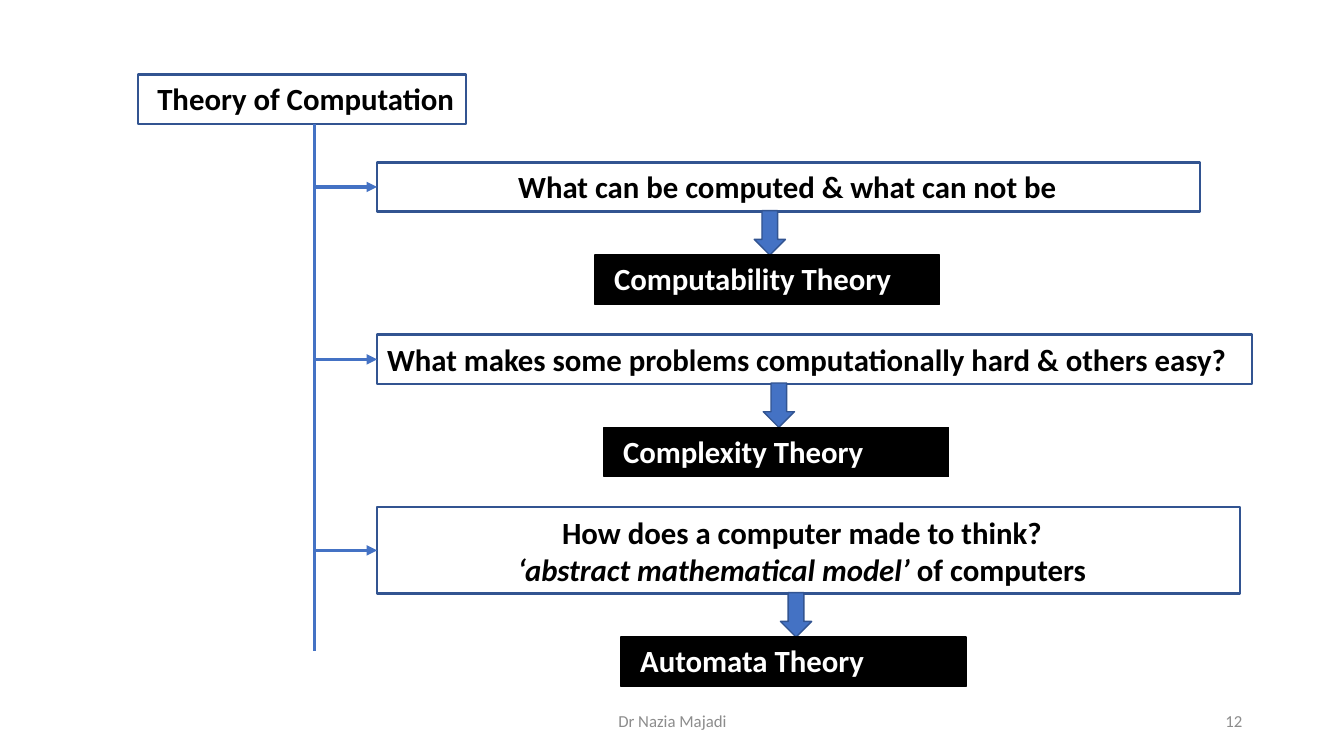
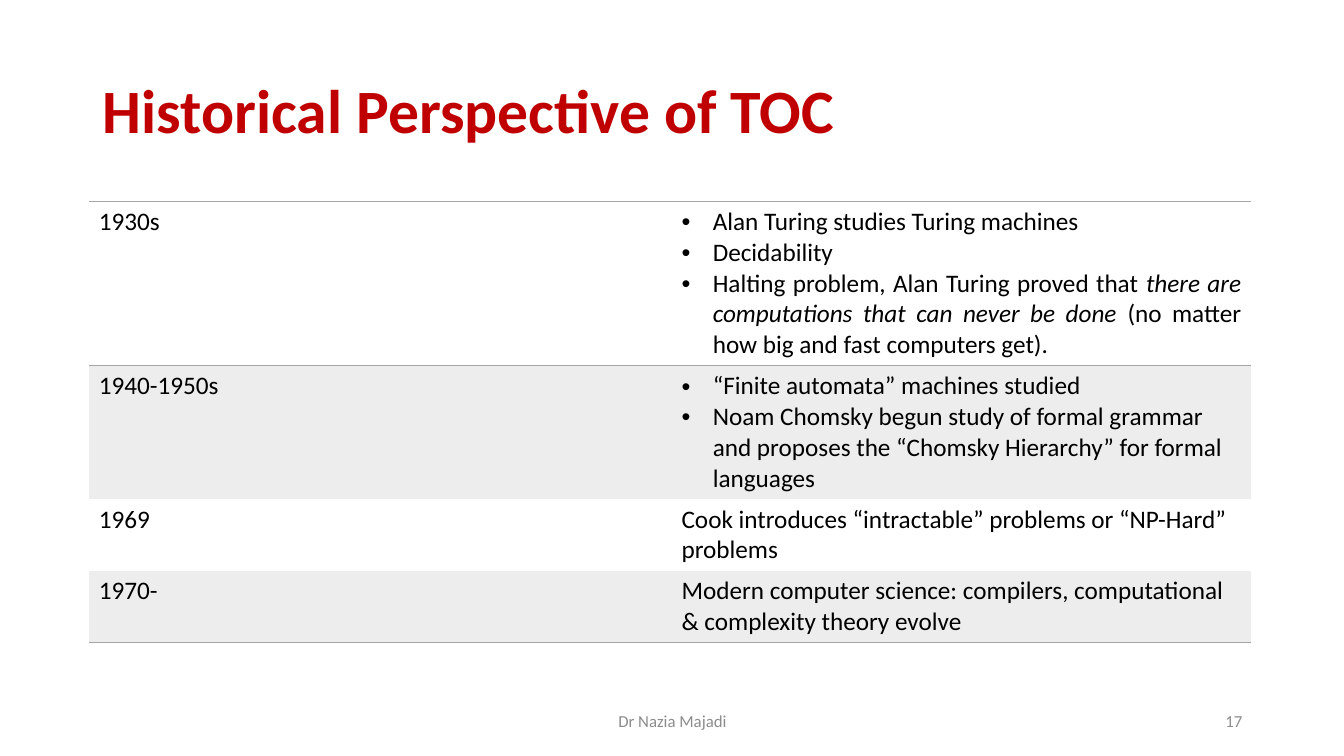
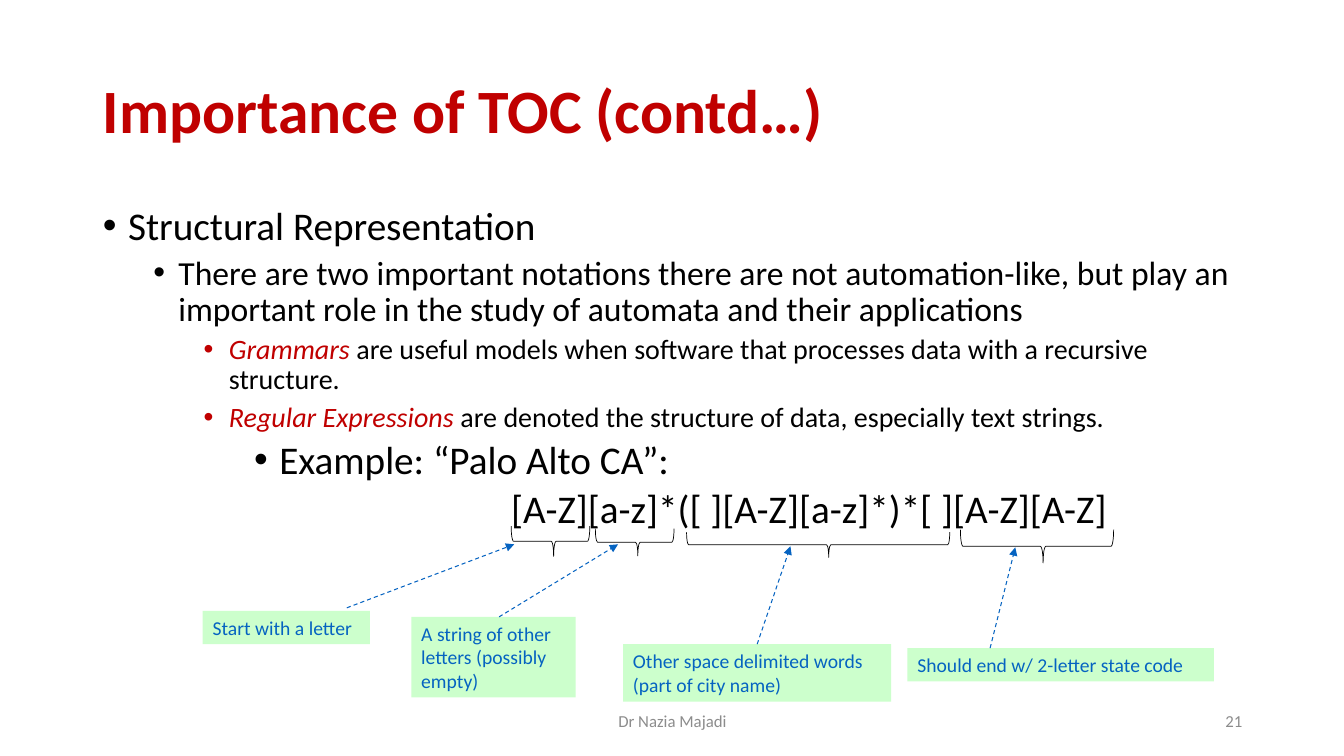
from lxml import etree
from pptx import Presentation
from pptx.dml.color import RGBColor
from pptx.enum.dml import MSO_LINE
from pptx.enum.shapes import MSO_CONNECTOR, MSO_SHAPE
from pptx.enum.text import MSO_ANCHOR, MSO_AUTO_SIZE, PP_ALIGN
from pptx.oxml.ns import qn
from pptx.util import Emu, Pt

PX = 9144
FONT = "Calibri"
BLACK, WHITE, RED = "000000", "FFFFFF", "C00000"
BLUE, NAVY, LINK = "4472C4", "325491", "0563C1"
GREY, RULE, BAND, MINT = "8C8C8C", "A5A5A5", "EDEDED", "CCFFCC"
RECT, DOWN, BRACE = MSO_SHAPE.RECTANGLE, MSO_SHAPE.DOWN_ARROW, MSO_SHAPE.LEFT_BRACE
STRAIGHT, DASH = MSO_CONNECTOR.STRAIGHT, MSO_LINE.DASH
TOP, MIDDLE = MSO_ANCHOR.TOP, MSO_ANCHOR.MIDDLE
LEFT, CENTER, RIGHT, JUSTIFY = PP_ALIGN.LEFT, PP_ALIGN.CENTER, PP_ALIGN.RIGHT, PP_ALIGN.JUSTIFY
NO_FIT = MSO_AUTO_SIZE.NONE
TITLE_ONLY, TITLE_BODY, BLANK = 5, 1, 6
NO_GRID = "{2D5ABB26-0587-4C30-8999-92F81FD0307C}"
ITALIC = {"italic": True}
KEYWORD = {"italic": True, "color": RED}


def px(value):
    return Emu(round(value * PX))


def rgb(value):
    return RGBColor.from_string(value)


def assign(target, values):
    for name, value in values.items():
        setattr(target, name, value)


def child(parent, tag, **attributes):
    return etree.SubElement(parent, qn(tag), attributes)


def para(*spans, bullet=None, **values):
    return {"spans": spans, "bullet": bullet, "values": values}


class Deck:
    def __init__(self):
        self.deck = Presentation()
        self.deck.slide_width, self.deck.slide_height = px(1333), px(750)
        self.slide = None

    def page(self, layout, number, title=None):
        self.slide = self.deck.slides.add_slide(self.deck.slide_layouts[layout])
        if title:
            self.placeholder(0, (92, 40, 1150, 145), [para(title, line_spacing=0.9)],
                             {"size": 44, "bold": True, "color": RED}, MIDDLE)
        grey = {"size": 12, "color": GREY}
        self.label((442, 695, 450, 40), [para("Dr Nazia Majadi", alignment=CENTER)], grey)
        self.label((942, 695, 300, 40), [para(str(number), alignment=RIGHT)], grey)

    def text(self, frame, paras, font, anchor=TOP, margins=(10, 5, 10, 5)):
        sides = ("left", "top", "right", "bottom")
        assign(frame, {"word_wrap": True, "auto_size": NO_FIT, "vertical_anchor": anchor})
        assign(frame, {f"margin_{side}": px(gap) for side, gap in zip(sides, margins)})
        self.fill_text(frame, paras, font)

    def fill_text(self, frame, paras, font):
        for index, item in enumerate(paras):
            paragraph = frame.add_paragraph() if index else frame.paragraphs[0]
            assign(paragraph, {"alignment": LEFT, "space_before": Pt(0), **item["values"]})
            self.bullet(paragraph, item["bullet"])
            for span in item["spans"]:
                text, values = (span, {}) if isinstance(span, str) else span
                for row, line in enumerate(text.split("\n")):
                    if row:
                        paragraph.add_line_break()
                    run = paragraph.add_run()
                    run.text = line
                    self.font(run.font, {**font, **values})

    def font(self, target, values):
        looks = {"name": FONT, "bold": False, "italic": False, **values}
        target.color.rgb = rgb(looks.pop("color", BLACK))
        looks["size"] = Pt(looks["size"])
        assign(target, looks)

    def bullet(self, paragraph, bullet):
        if bullet is None:
            return
        margin, hang = bullet
        properties = paragraph._p.get_or_add_pPr()
        properties.set("marL", str(px(margin)))
        properties.set("indent", str(px(-hang)))
        if hang:
            child(properties, "a:buFont", typeface="Arial")
            child(properties, "a:buChar", char="•")
        else:
            child(properties, "a:buNone")

    def placeholder(self, index, at, paras, font, anchor=TOP):
        box = self.slide.placeholders[index]
        assign(box, dict(zip(("left", "top", "width", "height"), map(px, at))))
        self.text(box.text_frame, paras, font, anchor)

    def label(self, at, paras, font):
        box = self.slide.shapes.add_textbox(*map(px, at))
        self.text(box.text_frame, paras, font, MIDDLE)

    def shape(self, kind, at, fill=None, line=None, weight=1):
        box = self.slide.shapes.add_shape(kind, *map(px, at))
        box.shadow.inherit = False
        if fill:
            box.fill.solid()
            box.fill.fore_color.rgb = rgb(fill)
        else:
            box.fill.background()
        if line:
            box.line.color.rgb = rgb(line)
            box.line.width = Pt(weight)
        else:
            box.line.fill.background()
        return box

    def panel(self, at, paras, fill, line, color, margins):
        box = self.shape(RECT, at, fill, line, 1 if fill == BLACK else 1.75)
        self.text(box.text_frame, paras, {"size": 22, "bold": True, "color": color}, margins=margins)
        return box

    def brace(self, at):
        box = self.shape(BRACE, at, line=BLACK, weight=0.5)
        box.rotation = 270
        box.adjustments[0], box.adjustments[1] = 0.08, 0.54

    def line(self, start, end, color, weight, arrow=True, dash=None, begin=None, finish=None):
        link = self.slide.shapes.add_connector(STRAIGHT, *map(px, start + end))
        link.line.color.rgb = rgb(color)
        link.line.width = Pt(weight)
        if dash:
            link.line.dash_style = dash
        if arrow:
            child(link.line._get_or_add_ln(), "a:tailEnd", type="triangle")
        child(link._element.spPr, "a:effectLst")
        if begin:
            link.begin_connect(*begin)
        if finish:
            link.end_connect(*finish)

    def table(self, left, top, widths, rows):
        size = sum(widths), sum(height for height, *_ in rows)
        frame = self.slide.shapes.add_table(len(rows), len(widths), *map(px, (left, top) + size))
        table = frame.table
        assign(table, {"first_row": False, "horz_banding": False})
        table._tbl.tblPr.find(qn("a:tableStyleId")).text = NO_GRID
        for column, width in zip(table.columns, widths):
            column.width = px(width)
        for index, (height, period, events) in enumerate(rows):
            table.rows[index].height = px(height)
            edges = {0: ("a:lnT", "a:lnB"), len(rows) - 1: ("a:lnB",)}.get(index, ())
            for cell, paras in zip(table.rows[index].cells, ([para(period)], events)):
                self.fill_text(cell.text_frame, paras, {"size": 18})
                cell.fill.solid()
                cell.fill.fore_color.rgb = rgb(BAND if index % 2 else WHITE)
                self.borders(cell._tc.get_or_add_tcPr(), edges)

    def borders(self, properties, edges):
        for place, tag in enumerate(edges):
            edge = child(properties, tag, w=str(Pt(1)))
            child(child(edge, "a:solidFill"), "a:srgbClr", val=RULE)
            properties.insert(place, edge)


def theory_map(deck):
    deck.page(BLANK, 12)
    deck.panel((137, 74, 325, 49), [para("Theory of Computation")], WHITE, NAVY, BLACK, (19, 5, 0, 5))
    trunk = 312
    deck.line((trunk, 123), (trunk, 646), BLUE, 2, arrow=False)
    think = [para("How does a computer made to think?", alignment=CENTER),
             para(("‘abstract mathematical model’ ", ITALIC), "of computers", alignment=CENTER)]
    branches = [
        (161, 816, 49, (140, 5, 0, 5), [para("What can be computed & what can not be")],
         590, "Computability Theory"),
        (332, 868, 49, (10, 6, 10, 5),
         [para("What makes some problems computationally hard & others easy?")],
         599, "Complexity Theory"),
        (503, 856, 86, (10, 7, 23, 5), think, 616, "Automata Theory"),
    ]
    for top, width, height, margins, question, left, theory in branches:
        box = deck.panel((374, top, width, height), question, WHITE, NAVY, BLACK, margins)
        middle = top + height / 2
        deck.line((trunk, middle), (374, middle), BLUE, 2.5, finish=(box, 1))
        drop = top + height - 1
        deck.shape(DOWN, (left + 158, drop, 31, 44), BLUE, NAVY)
        deck.panel((left, drop + 44, 342, 49), [para(theory)], BLACK, BLACK, WHITE, (19, 5, 10, 5))


def history(deck):
    deck.page(TITLE_ONLY, 17, "Historical Perspective of TOC")
    hang = (31, 31)
    deck.table(88, 200, (578, 575), [
        (163, "1930s", [
            para("Alan Turing studies Turing machines", bullet=hang),
            para("Decidability", bullet=hang),
            para("Halting problem, Alan Turing proved that ",
                 ("there are computations that can never be done ", ITALIC),
                 "(no matter how big and fast computers get).", bullet=hang, alignment=JUSTIFY)]),
        (132, "1940-1950s", [
            para("“Finite automata” machines studied", bullet=hang),
            para("Noam Chomsky begun study of formal grammar and proposes the "
                 "“Chomsky Hierarchy” for formal languages", bullet=hang)]),
        (71, "1969", [para("Cook introduces “intractable” problems or “NP-Hard” problems")]),
        (71, "1970-", [para("Modern computer science: compilers, computational "
                            "& complexity theory evolve")]),
    ])


def importance(deck):
    deck.page(TITLE_BODY, 21, "Importance of TOC (contd…)")
    points = [
        (0, 28, ["Structural Representation"]),
        (1, 24, ["There are two important notations there are not automation-like, but play an "
                 "important role in the study of automata and their applications"]),
        (2, 20, [("Grammars ", KEYWORD),
                 "are useful models when software that processes data with a recursive structure."]),
        (2, 20, [("Regular Expressions ", KEYWORD),
                 "are denoted the structure of data, especially text strings."]),
        (3, 28, ["Example: “Palo Alto CA”:"]),
        (3, 28, ["[A-Z][a-z]*([ ][A-Z][a-z]*)*[ ][A-Z][A-Z]"]),
    ]
    paras = []
    for index, (level, size, spans) in enumerate(points):
        sized = [(span, {"size": size}) if isinstance(span, str) else (span[0], {**span[1], "size": size})
                 for span in spans]
        bullet = (405, 0) if index == len(points) - 1 else (25 + 50 * level, 25)
        paras.append(para(*sized, bullet=bullet, level=level, line_spacing=0.9,
                          space_before=Pt(5 if index else 0)))
    deck.placeholder(1, (92, 200, 1150, 476), paras, {})
    notes = [
        ("Start with a letter", (201, 606, 166, 33), (344, 603), (510, 540), (531, 498, 30, 78), False),
        ("A string of other\nletters (possibly\nempty)", (408, 612, 163, 80), (495, 612), (613, 540),
         (616, 499, 27, 78), False),
        ("Other space delimited words\n(part of city name)", (618, 639, 266, 57), (751, 639), (784, 542),
         (799, 410, 25, 261), True),
        ("Should end w/ 2-letter state code", (900, 643, 304, 33), (982, 643), (1007, 543),
         (1012, 466, 33, 152), False),
    ]
    for text, at, start, end, brace, joined in notes:
        box = deck.shape(RECT, at, MINT)
        deck.text(box.text_frame, [para(text)], {"size": 14, "color": LINK})
        deck.line(start, end, LINK, 0.75, dash=DASH, begin=(box, 0) if joined else None)
        deck.brace(brace)


def main():
    deck = Deck()
    theory_map(deck)
    history(deck)
    importance(deck)
    deck.deck.save("out.pptx")


if __name__ == "__main__":
    main()
